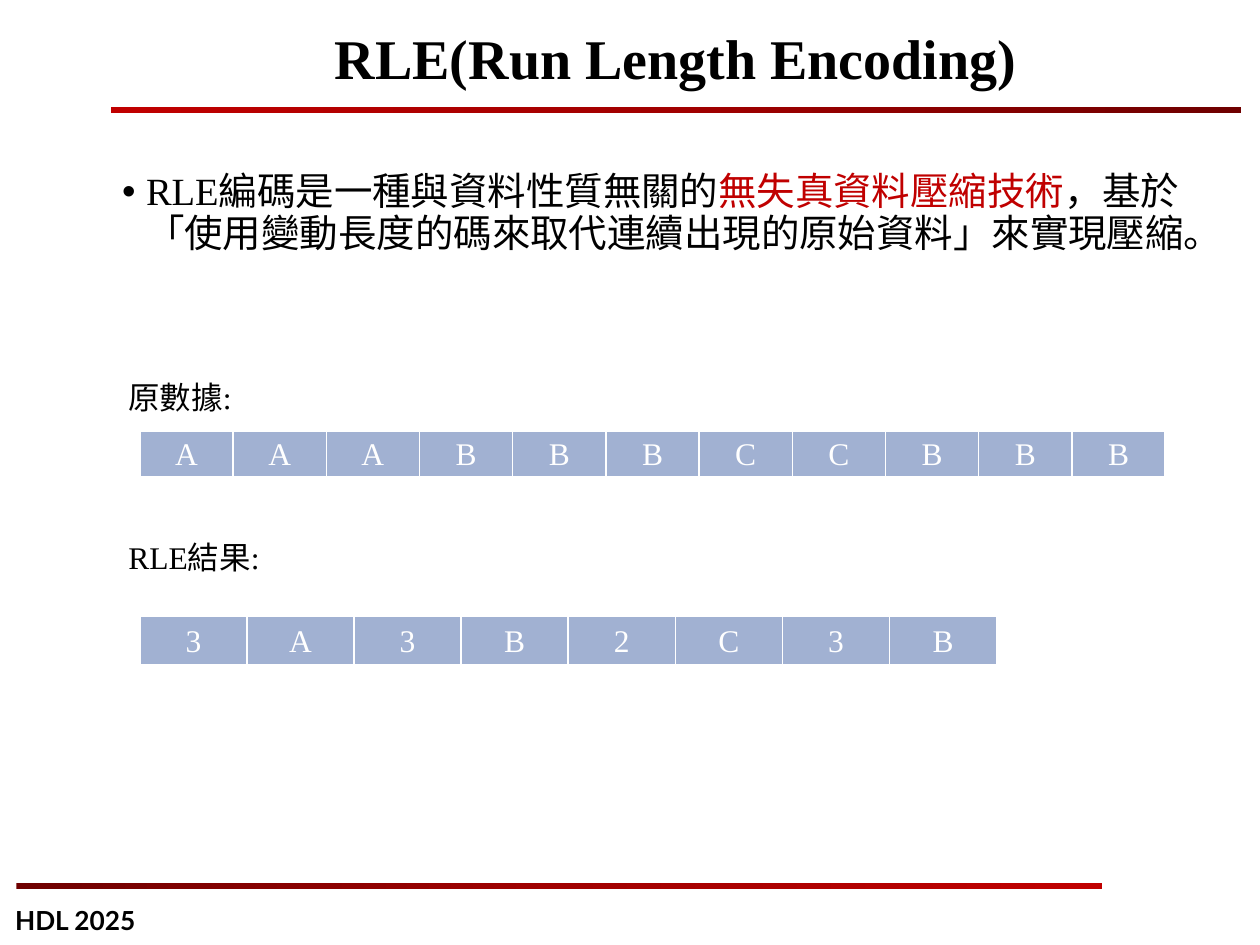
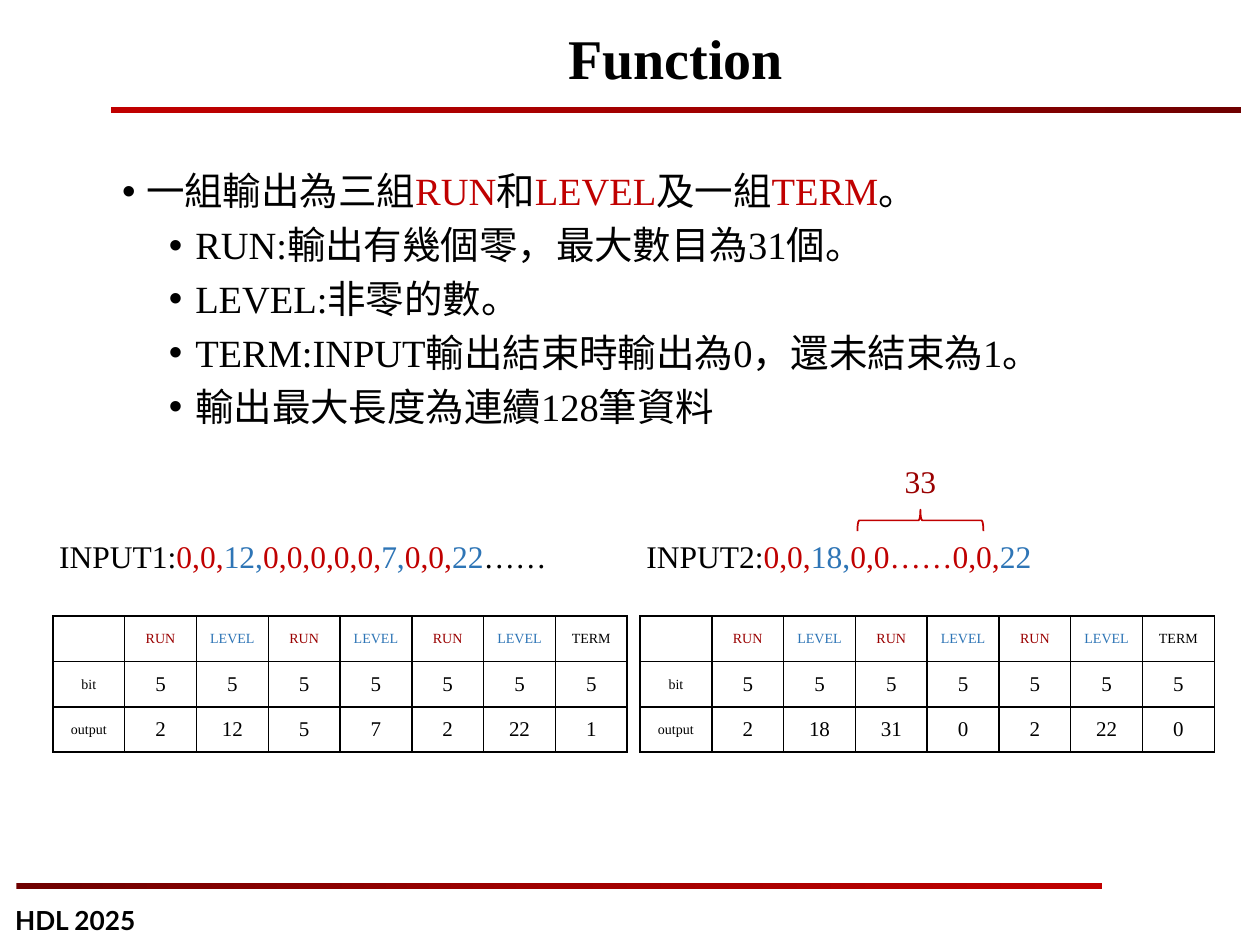
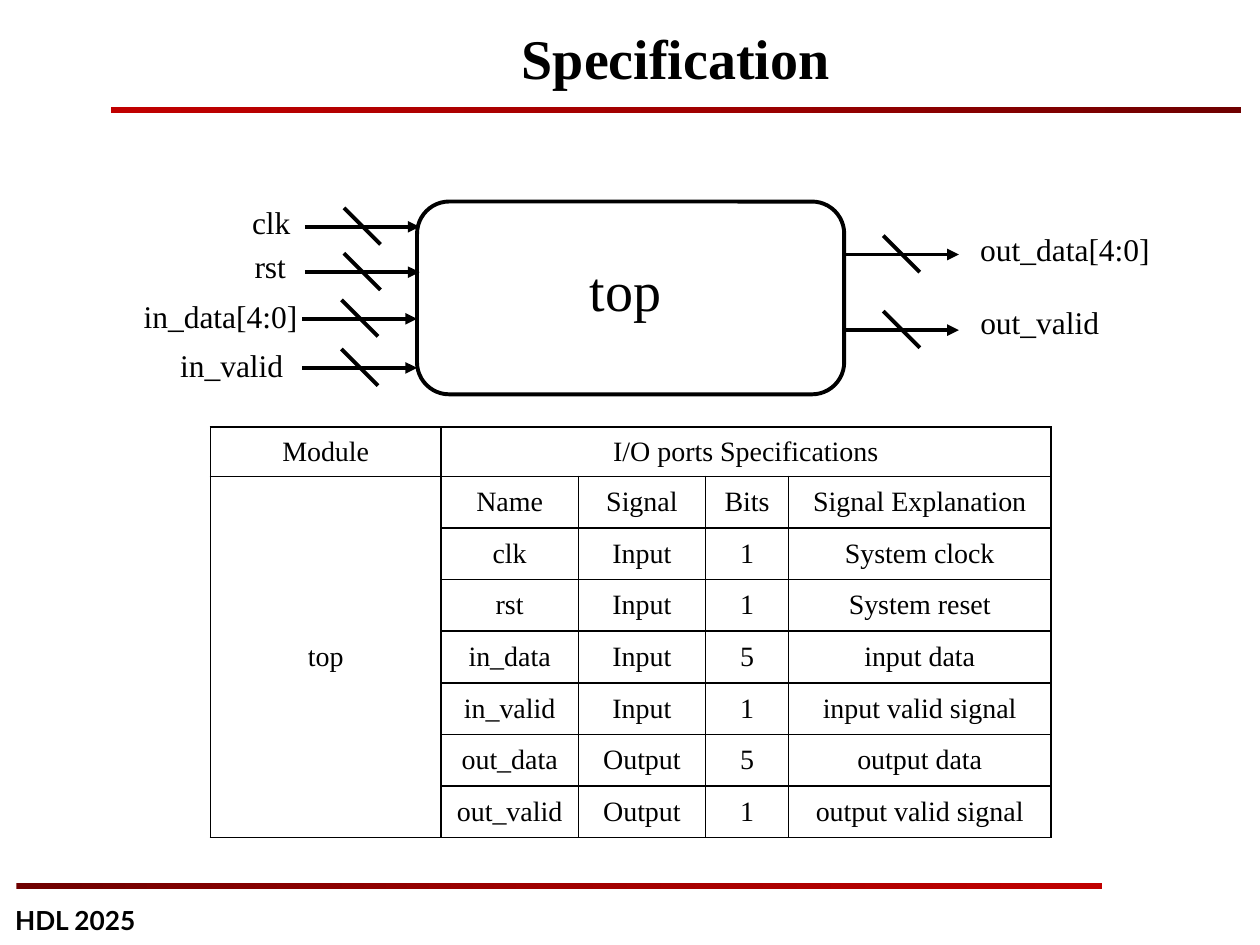
from copy import deepcopy

from pptx import Presentation
from pptx.dml.color import RGBColor
from pptx.enum.shapes import MSO_CONNECTOR as Connector, MSO_SHAPE as Shape
from pptx.enum.text import MSO_ANCHOR as Anchor, PP_ALIGN as Align
from pptx.oxml.ns import qn
from pptx.oxml.xmlchemy import OxmlElement
from pptx.util import Inches, Pt

BLACK, WHITE = "000000", "FFFFFF"
RED, DARK_RED, BLUE, CELL_BLUE = "C00000", "9A0000", "2E75B6", "A1B1D2"
BAND_COLORS = ["6F0000", "A10000", "C00000"]
SERIF, SANS = "Times New Roman", "Lato"
TITLE_BOX = (0.92, 0.2, 8.89, 0.58)
BODY_BOX = (0.92, 1.32, 8.66, 5.1)
BULLET_INDENTS = [(0.19, -0.19), (0.58, -0.21)]
SIDES = ("lnL", "lnR", "lnT", "lnB")


def rgb(color):
    """Turn a hex string into a colour."""
    return RGBColor.from_string(color)


def set_values(target, values):
    """Set each attribute named in a dict."""
    for name, value in values.items():
        setattr(target, name, value)


def add_child(parent, tag, **attributes):
    """Append an XML element and return it."""
    child = OxmlElement(tag)
    for name, value in attributes.items():
        child.set(name, str(value))
    parent.append(child)
    return child


def inches(box):
    """Turn a sequence of numbers into lengths."""
    return [Inches(value) for value in box]


def set_margins(target, across, down):
    """Set the inner margins of a text frame or cell."""
    set_values(target, {
        "margin_left": Inches(across), "margin_right": Inches(across),
        "margin_top": Inches(down), "margin_bottom": Inches(down),
    })


def write_runs(paragraph, runs, size, font=SERIF, bold=False):
    """Write (text, colour) pieces into a paragraph."""
    for text, color in runs:
        run = paragraph.add_run()
        run.text = text
        set_values(run.font, {"name": font, "size": Pt(size), "bold": bold})
        run.font.color.rgb = rgb(color)


def add_text(slide, box, runs, size=18, inset=0.05, wrap=False, **style):
    """Add a one-paragraph text box."""
    frame = slide.shapes.add_textbox(*inches(box)).text_frame
    frame.word_wrap = wrap
    set_margins(frame, inset, min(inset, 0.05))
    write_runs(frame.paragraphs[0], runs, size, **style)


def add_outline(slide, kind, box, color, width):
    """Add an unfilled preset shape with a line."""
    shape = slide.shapes.add_shape(kind, *inches(box))
    shape.shadow.inherit = False
    shape.fill.background()
    shape.line.color.rgb = rgb(color)
    shape.line.width = Pt(width)
    return shape


def add_line(slide, start, end, arrow=False):
    """Add a straight black line, with an arrowhead if asked."""
    line = slide.shapes.add_connector(Connector.STRAIGHT, *inches(start + end))
    line.line.color.rgb = rgb(BLACK)
    line.line.width = Pt(2.25)
    properties = line.element.spPr
    if arrow:
        add_child(properties.find(qn("a:ln")), "a:tailEnd", type="triangle")
    add_child(properties, "a:effectLst")


def add_band(slide, box, colors):
    """Add a thin band with a left-to-right gradient."""
    band = slide.shapes.add_shape(Shape.RECTANGLE, *inches(box))
    band.shadow.inherit = False
    band.line.fill.background()
    band.fill.gradient()
    band.fill.gradient_angle = 0
    stops = band.element.spPr.find(qn("a:gradFill")).find(qn("a:gsLst"))
    stops.insert(1, deepcopy(stops[0]))
    for index, (stop, color) in enumerate(zip(band.fill.gradient_stops, colors)):
        stop.position = index / 2
        stop.color.rgb = rgb(color)


def add_titled_slide(presentation, title):
    """Add a slide with its title, bands and footer."""
    slide = presentation.slides.add_slide(presentation.slide_layouts[5])
    add_band(slide, (0.88, 0.85, 8.97, 0.05), BAND_COLORS[::-1])
    add_band(slide, (0.13, 7.01, 8.62, 0.05), BAND_COLORS)
    add_text(slide, (0.08, 7.14, 1.5, 0.33), [("HDL 2025", BLACK)], 15, 0.04,
             font=SANS, bold=True)
    shape = slide.shapes.title
    set_values(shape, dict(zip(("left", "top", "width", "height"), inches(TITLE_BOX))))
    frame = shape.text_frame
    set_values(frame, {"vertical_anchor": Anchor.MIDDLE, "word_wrap": True})
    set_margins(frame, 0.05, 0.05)
    paragraph = frame.paragraphs[0]
    set_values(paragraph, {"alignment": Align.CENTER, "line_spacing": 0.9})
    write_runs(paragraph, [(title, BLACK)], 32, bold=True)
    return slide


def add_bullets(slide, box, items):
    """Add a bulleted list of (level, runs) items."""
    frame = slide.shapes.add_textbox(*inches(box)).text_frame
    frame.word_wrap = True
    set_margins(frame, 0.05, 0.05)
    for index, (level, runs) in enumerate(items):
        paragraph = frame.add_paragraph() if index else frame.paragraphs[0]
        set_values(paragraph, {"level": level, "line_spacing": 0.9, "space_before": Pt(7)})
        properties = paragraph._p.get_or_add_pPr()
        for name, value in zip(("marL", "indent"), inches(BULLET_INDENTS[level])):
            properties.set(name, str(value))
        add_child(properties, "a:buFont", typeface="Arial")
        add_child(properties, "a:buChar", char="•")
        write_runs(paragraph, runs, 22)


def format_cell(cell, run, size, margins, border, widths, fill):
    """Write one centred cell with its borders and fill."""
    set_margins(cell, *margins)
    cell.vertical_anchor = Anchor.MIDDLE
    paragraph = cell.text_frame.paragraphs[0]
    paragraph.alignment = Align.CENTER
    write_runs(paragraph, [run], size)
    properties = cell._tc.get_or_add_tcPr()
    for side, width in zip(SIDES, widths):
        line = add_child(properties, f"a:{side}", w=Pt(width))
        add_child(add_child(line, "a:solidFill"), "a:srgbClr", val=border)
    if fill:
        cell.fill.solid()
        cell.fill.fore_color.rgb = rgb(fill)
    else:
        cell.fill.background()


def add_grid(slide, corner, columns, heights, rows, style, margins=(0.04, 0.03),
             border=BLACK, widths=(1, 1, 1, 1), fill=None):
    """Add a table; style gives the size and colour of a cell."""
    box = (*corner, sum(columns), sum(heights))
    table = slide.shapes.add_table(len(rows), len(columns), *inches(box)).table
    set_values(table, {"first_row": False, "horz_banding": False})
    for column, width in zip(table.columns, columns):
        column.width = Inches(width)
    for row, height in zip(table.rows, heights):
        row.height = Inches(height)
    for row_index, texts in enumerate(rows):
        for column_index, text in enumerate(texts):
            size, color = style(row_index, column_index, text)
            format_cell(table.cell(row_index, column_index), (text, color), size,
                        margins, border, widths, fill)
    return table


def add_symbols(slide, corner, symbols, column_width, margin):
    """Add a one-row strip of data symbols."""
    add_grid(slide, corner, [column_width] * len(symbols), [0.33], [symbols],
             lambda row, column, text: (18, WHITE), (0.1, margin), WHITE, (1, 1, 1, 3),
             CELL_BLUE)


def add_example(slide, left, runs, outputs):
    """Add an input sequence and its table of encoded values."""
    add_text(slide, (left, 4.21, 4.01, 0.4), [("INPUT", BLACK)][:0] + runs)
    header_colors = {"RUN": DARK_RED, "LEVEL": BLUE}
    rows = [["", *["RUN", "LEVEL"] * 3, "TERM"], ["bit", *["5"] * 7], ["output", *outputs]]

    def style(row, column, text):
        """Use small text for the headings."""
        return (12 if row and column else 8), header_colors.get(text, BLACK)

    add_grid(slide, (left, 4.89), [0.57] * 8, [0.36] * 3, rows, style)


def add_wire(slide, left, top):
    """Add a bus arrow crossed by a slash."""
    add_line(slide, (left, top), (left + 0.91, top), arrow=True)
    add_line(slide, (left + 0.31, top - 0.15), (left + 0.6, top + 0.14))


def add_block_diagram(slide, box):
    """Add the module block with its ports."""
    left, top, width, height = box
    block = add_outline(slide, Shape.ROUNDED_RECTANGLE, box, BLACK, 2.25)
    block.fill.solid()
    block.fill.fore_color.rgb = rgb(WHITE)
    add_text(slide, (left + 1.32, top + 0.38, 0.74, 0.64), [("top", BLACK)], 32)
    ports = [
        ("clk", -1.36, -0.04, 0.41, -0.89, 0.2),
        ("rst", -1.34, 0.31, 0.35, -0.89, 0.56),
        ("in_data[4:0]", -2.22, 0.71, 1.34, -0.91, 0.93),
        ("in_valid", -1.93, 1.1, 0.93, -0.91, 1.32),
        ("out_data[4:0]", 4.42, 0.18, 1.46, width, 0.42),
        ("out_valid", 4.42, 0.76, 1.05, width, 1.02),
    ]
    for name, label_left, label_top, label_width, wire_left, wire_top in ports:
        add_wire(slide, left + wire_left, top + wire_top)
        add_text(slide, (left + label_left, top + label_top, label_width, 0.4),
                 [(name, BLACK)])


def add_port_table(slide, corner):
    """Add the port table with its merged headings."""
    rows = [
        ["Module", "I/O ports Specifications", "", "", ""],
        ["top", "Name", "Signal", "Bits", "Signal Explanation"],
        ["", "clk", "Input", "1", "System clock"],
        ["", "rst", "Input", "1", "System reset"],
        ["", "in_data", "Input", "5", "input data"],
        ["", "in_valid", "Input", "1", "input valid signal"],
        ["", "out_data", "Output", "5", "output data"],
        ["", "out_valid", "Output", "1", "output valid signal"],
    ]
    table = add_grid(slide, corner, [1.83, 1.09, 1.01, 0.66, 2.08], [0.39] + [0.41] * 7,
                     rows, lambda row, column, text: (16, BLACK))
    table.cell(0, 1).merge(table.cell(0, 4))
    table.cell(1, 0).merge(table.cell(7, 0))


def build_encoding_slide(presentation):
    """Build the slide that explains the encoding."""
    slide = add_titled_slide(presentation, "RLE(Run Length Encoding)")
    add_bullets(slide, BODY_BOX, [(0, [
        ("RLE編碼是一種與資料性質無關的", BLACK),
        ("無失真資料壓縮技術", RED),
        ("，基於「使用變動長度的碼來取代連續出現的原始資料」來實現壓縮。", BLACK),
    ])])
    strips = [
        ("原數據:", 2.95, "AAABBBCCBBB", 3.42, 0.744, 0.04),
        ("RLE結果:", 4.22, "3A3B2C3B", 4.89, 0.854, 0.05),
    ]
    for label, label_top, symbols, strip_top, column_width, margin in strips:
        add_text(slide, (0.92, label_top, 1.85, 0.4), [(label, BLACK)], inset=0.1, wrap=True)
        add_symbols(slide, (1.11, strip_top), symbols, round(column_width, 2), margin)


def build_function_slide(presentation):
    """Build the slide with the output format and two examples."""
    slide = add_titled_slide(presentation, "Function")
    details = [
        "RUN:輸出有幾個零，最大數目為31個。",
        "LEVEL:非零的數。",
        "TERM:INPUT輸出結束時輸出為0，還未結束為1。",
        "輸出最大長度為連續128筆資料",
    ]
    summary = [("一組輸出為三組", BLACK), ("RUN", RED), ("和", BLACK), ("LEVEL", RED),
               ("及一組", BLACK), ("TERM", RED), ("。", BLACK)]
    add_bullets(slide, BODY_BOX,
                [(0, summary)] + [(1, [(detail, BLACK)]) for detail in details])
    add_example(slide, 0.42, [
        ("INPUT1:", BLACK), ("0,0,", RED), ("12,", BLUE), ("0,0,0,0,0,", RED),
        ("7,", BLUE), ("0,0,", RED), ("22", BLUE), ("……", BLACK),
    ], ["2", "12", "5", "7", "2", "22", "1"])
    add_example(slide, 5.08, [
        ("INPUT2:", BLACK), ("0,0,", RED), ("18,", BLUE), ("0,0……0,0,", RED), ("22", BLUE),
    ], ["2", "18", "31", "0", "2", "22", "0"])
    brace = add_outline(slide, Shape.RIGHT_BRACE, (7.22, 3.63, 0.17, 1), RED, 1)
    brace.rotation = 270
    add_text(slide, (7.13, 3.62, 0.35, 0.4), [("33", DARK_RED)])


def build_specification_slide(presentation):
    """Build the slide with the block diagram and port table."""
    slide = add_titled_slide(presentation, "Specification")
    add_port_table(slide, (1.67, 3.39))
    add_block_diagram(slide, (3.31, 1.6, 3.39, 1.53))


def main():
    """Build and save the presentation."""
    presentation = Presentation()
    set_values(presentation, {"slide_width": Inches(10), "slide_height": Inches(7.5)})
    build_encoding_slide(presentation)
    build_function_slide(presentation)
    build_specification_slide(presentation)
    presentation.save("out.pptx")


if __name__ == "__main__":
    main()
